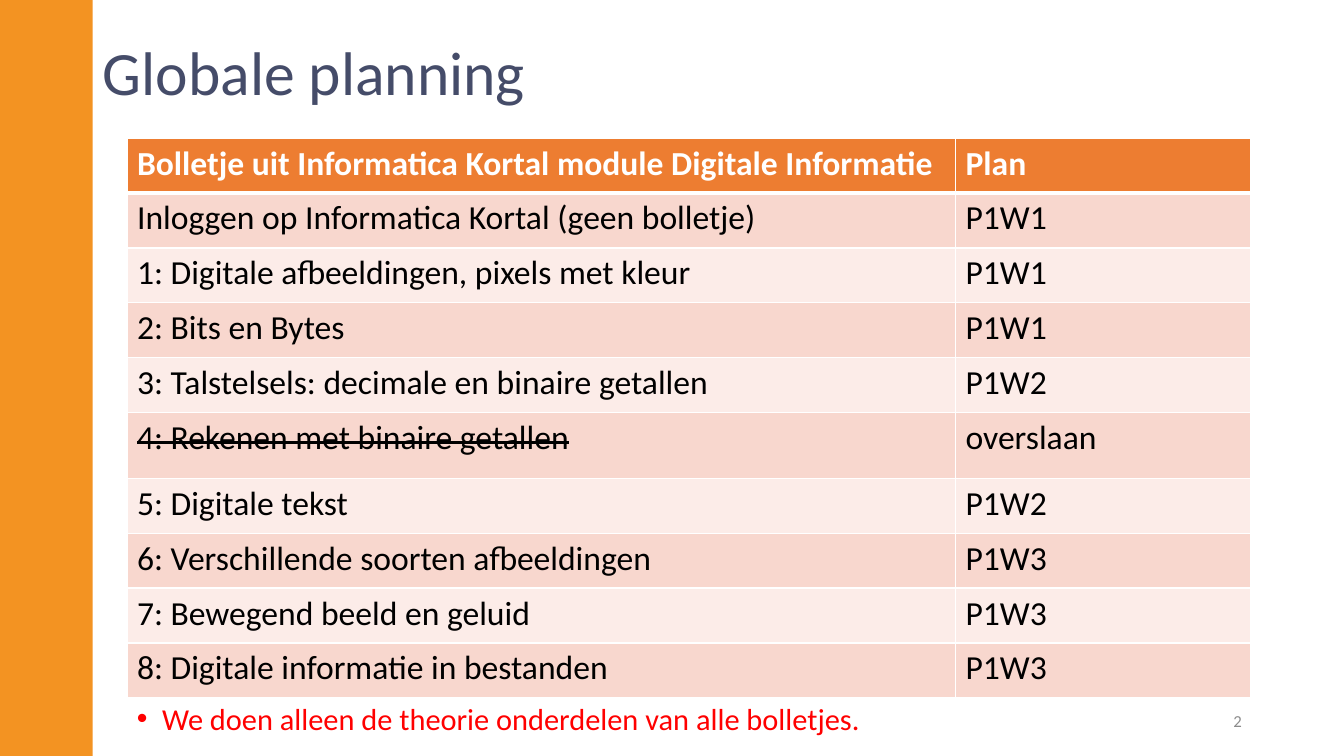
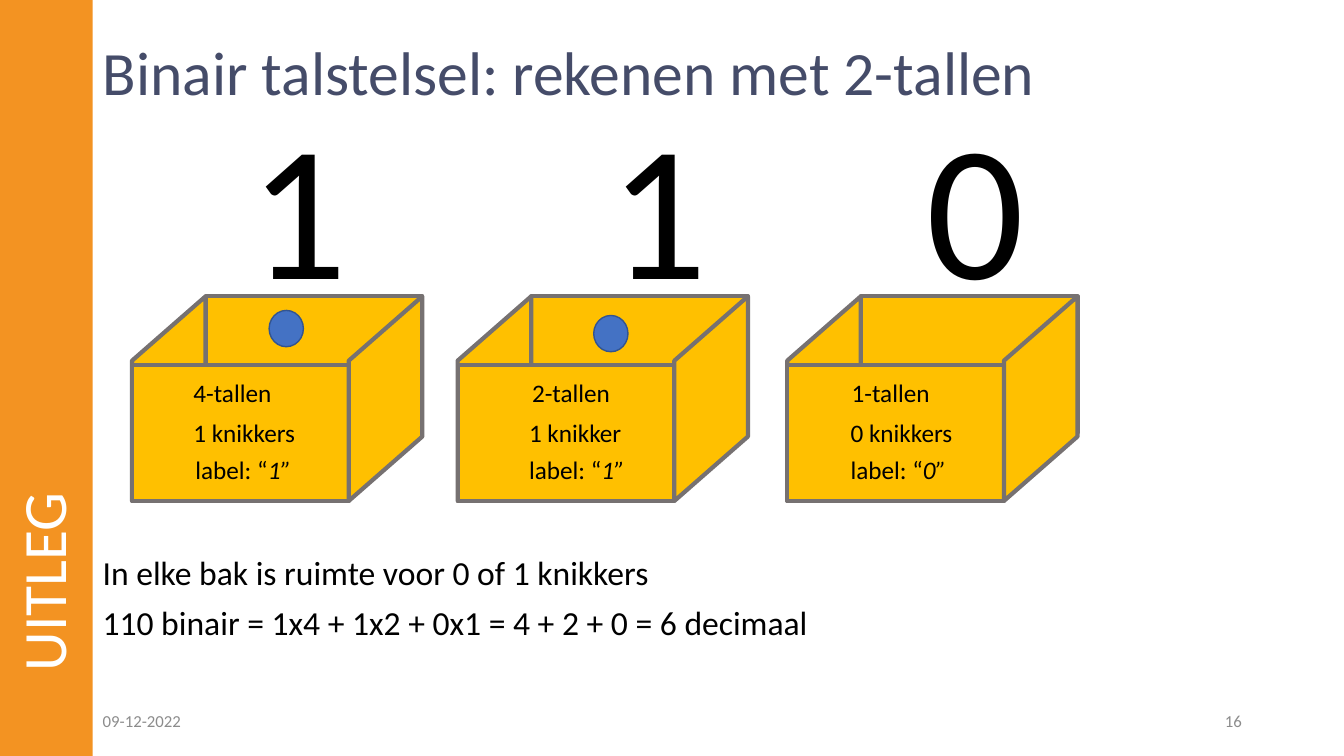
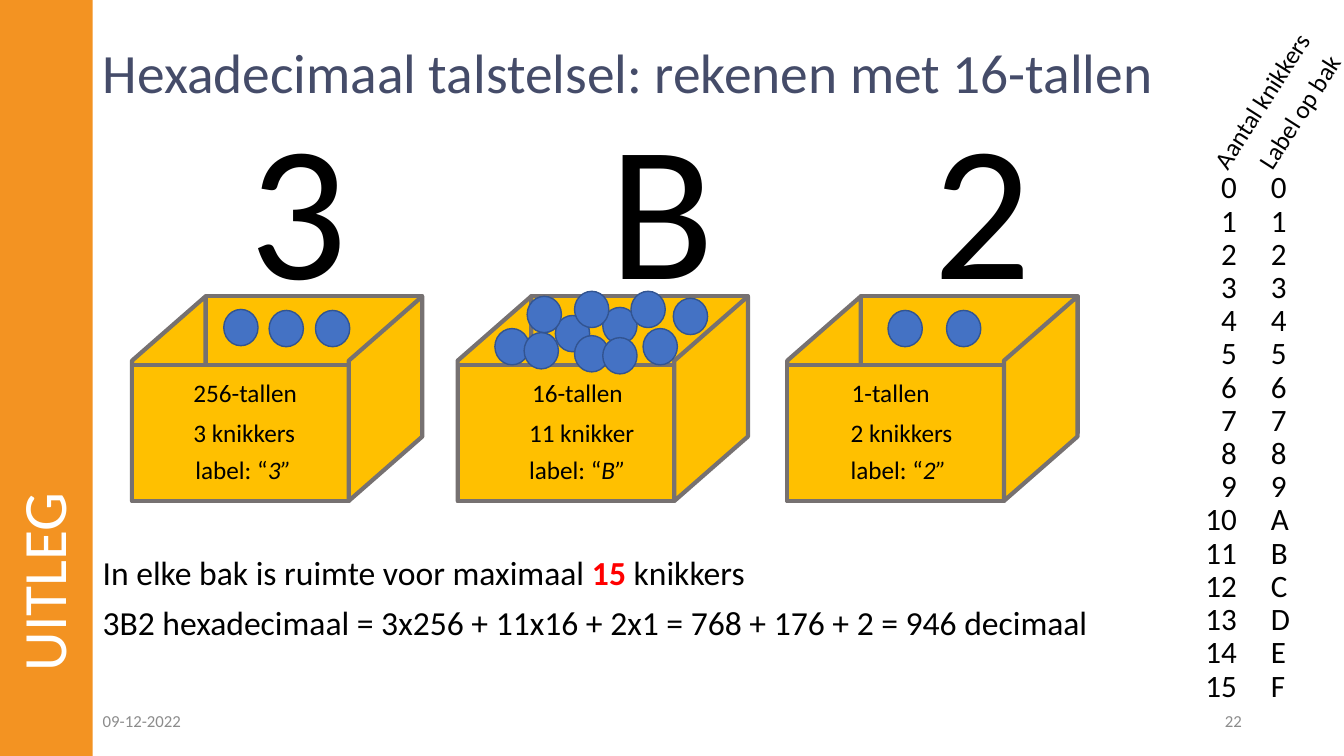
from lxml.etree import SubElement
from pptx import Presentation
from pptx.dml.color import RGBColor
from pptx.enum.shapes import MSO_SHAPE as Preset
from pptx.enum.text import MSO_ANCHOR as Anchor, MSO_AUTO_SIZE as AutoSize, PP_ALIGN as Align
from pptx.oxml.ns import qn
from pptx.util import Inches, Pt

FONT = "Calibri"
COLORS = {
    "band": "F39322", "title": "454C69", "text": "000000", "white": "FFFFFF",
    "footer": "8C8C8C", "accent": "FF0000", "header": "ED7D31",
    "odd": "F8D7CE", "even": "FCECE8", "crate": "FFC000", "crate_edge": "767171",
    "marble": "4472C4", "marble_edge": "325491",
}

# The grid: square cells of a tenth of an inch
COLUMNS, ROWS = 133.33, 75
BAND = 9.2
MARGIN = 12.6

# Left edge of each crate and of its three label lines
CRATES = [(13.1, (18.2, 18.2, 18.4)), (45.4, (51.8, 51.5, 51.5)), (78.1, (83.5, 83.4, 83.4))]
LABEL_ROWS = (36.9, 40.9, 44.6)


def cells(count):
    return int(count * Inches(0.1))


def color(name):
    return RGBColor.from_string(COLORS[name])


class Deck:
    """Holds the shared style and the current slide."""

    def __init__(self):
        self.presentation = Presentation()
        self.presentation.slide_width = cells(COLUMNS)
        self.presentation.slide_height = cells(ROWS)
        self.layout = self.presentation.slide_layouts[5]
        self.slide = None

    def new_slide(self, title, number, size=44, date=None, section=None):
        first = self.slide is None
        self.slide = self.presentation.slides.add_slide(self.layout)
        if first:
            self.add_band_to_layout()
        # Title
        shape = self.slide.shapes.title
        shape.left, shape.top, shape.width, shape.height = map(cells, (BAND, 3.2, 115, 8.6))
        self.fill_frame(shape.text_frame, [[title]], size, "title", anchor=Anchor.MIDDLE,
                        spacing=0.9)
        # Footer and section name
        if date:
            self.text([[date]], (BAND, 69.5, 30, 4), 12, "footer", anchor=Anchor.MIDDLE)
        self.text([[number]], (94.2, 69.5, 30, 4), 12, "footer", Align.RIGHT, Anchor.MIDDLE)
        if section:
            self.text([[section]], (-29.2, 29.2, 67.6, BAND), 44, "white",
                      anchor=Anchor.MIDDLE, spacing=0.9, rotation=270)

    def add_band_to_layout(self):
        band = self.shape(Preset.RECTANGLE, (0, 0, BAND, ROWS), "band")
        self.layout.placeholders[0].element.addprevious(band.element)

    def fill_frame(self, frame, paragraphs, size, ink="text", align=Align.LEFT,
                   anchor=Anchor.TOP, spacing=None, before=0, bullet=None):
        """Each paragraph is a list of runs: a string, or (string, font settings)."""
        frame.word_wrap = True
        frame.auto_size = AutoSize.NONE
        frame.vertical_anchor = anchor
        for index, runs in enumerate(paragraphs):
            paragraph = frame.add_paragraph() if index else frame.paragraphs[0]
            if bullet:
                self.bullet(paragraph, bullet)
            paragraph.alignment = align
            if spacing:
                paragraph.line_spacing = spacing
            paragraph.space_before = Pt(before if index else 0)
            for item in runs:
                words, style = (item, {}) if isinstance(item, str) else item
                self.add_run(paragraph, words, size, **{"ink": ink, **style})

    def add_run(self, paragraph, words, size, ink, bold=False, italic=False, strike=False):
        run = paragraph.add_run()
        run.text = words
        font = run.font
        font.name, font.size, font.bold, font.italic = FONT, Pt(size), bold, italic
        font.color.rgb = color(ink)
        if strike:
            run._r.get_or_add_rPr().set("strike", "sngStrike")

    def bullet(self, paragraph, sign):
        properties = paragraph._p.get_or_add_pPr()
        properties.set("marL", str(Inches(0.25)))
        properties.set("indent", str(-Inches(0.25)))
        SubElement(properties, qn("a:buFont"), typeface="Arial")
        SubElement(properties, qn("a:buChar"), char=sign)

    def text(self, paragraphs, box, size, ink="text", align=Align.LEFT, anchor=Anchor.TOP,
             rotation=0, **layout):
        shape = self.slide.shapes.add_textbox(*map(cells, box))
        shape.rotation = rotation
        self.fill_frame(shape.text_frame, paragraphs, size, ink, align, anchor, **layout)

    def shape(self, preset, box, fill, edge=None, width=1, parent=None):
        shape = (parent or self.slide).shapes.add_shape(preset, *map(cells, box))
        shape.shadow.inherit = False
        shape.fill.solid()
        shape.fill.fore_color.rgb = color(fill)
        if edge:
            shape.line.color.rgb = color(edge)
            shape.line.width = Pt(width)
        else:
            shape.line.fill.background()
        return shape

    def crate(self, left):
        group = self.slide.shapes.add_group_shape()
        parts = [  # back, left side, front, right side
            (Preset.RECTANGLE, (left + 7.3, 29.4, 21.5, 13.5)),
            (Preset.PARALLELOGRAM, (left - 6.5, 35.9, 20.3, 7.3)),
            (Preset.RECTANGLE, (left, 36.2, 21.5, 13.5)),
            (Preset.PARALLELOGRAM, (left + 15, 35.9, 20.3, 7.3)),
        ]
        for preset, box in parts:
            side = self.shape(preset, box, "crate", "crate_edge", 3, group)
            if preset == Preset.PARALLELOGRAM:
                side.adjustments[0] = 0.875
                side.rotation = 90
                side.element.spPr.find(qn("a:xfrm")).set("flipV", "1")

    def marble(self, left, top):
        self.shape(Preset.OVAL, (left, top, 3.4, 3.6), "marble", "marble_edge")

    def crates(self, contents, digit_lefts):
        """Contents: digit, place value, count and marble positions of each crate."""
        for (left, label_lefts), digit_left, (digit, place, count, marbles) in zip(
                CRATES, digit_lefts, contents):
            self.crate(left)
            labels = [[place], [count], ["label: “", (digit + "”", {"italic": True})]]
            for label, label_left, top in zip(labels, label_lefts, LABEL_ROWS):
                self.text([label], (label_left, top, 14, 4), 18)
            self.text([[digit]], (digit_left, 8.1, 14, 24.2), 138)
            for position in marbles:
                self.marble(*position)

    def explanation(self, paragraphs):
        self.text(paragraphs, (BAND, 54.7, 115, 12.9), 24, spacing=0.9, before=10)

    def table(self, rows, corner, widths, heights):
        box = (*corner, sum(widths), sum(heights))
        table = self.slide.shapes.add_table(len(rows), len(widths), *map(cells, box)).table
        for column, width in zip(table.columns, widths):
            column.width = cells(width)
        for index, (row, height) in enumerate(zip(rows, heights)):
            table.rows[index].height = cells(height)
            fill = ("even", "odd")[index % 2] if index else "header"
            style = {} if index else {"ink": "white", "bold": True}
            for cell, item in zip(table.rows[index].cells, row):
                words, extra = (item, {}) if isinstance(item, str) else item
                self.fill_frame(cell.text_frame, [[(words, {**style, **extra})]], 24)
                self.borders(cell, top=3 if index == 1 else 1, bottom=1 if index else 3)
                cell.fill.solid()
                cell.fill.fore_color.rgb = color(fill)

    def borders(self, cell, top, bottom):
        properties = cell._tc.get_or_add_tcPr()
        for side, width in (("L", 1), ("R", 1), ("T", top), ("B", bottom)):
            line = SubElement(properties, qn("a:ln" + side), w=str(Pt(width)))
            SubElement(SubElement(line, qn("a:solidFill")), qn("a:srgbClr"), val=COLORS["white"])


def planning(deck):
    deck.new_slide("Globale planning", "2")
    rows = [
        ("Bolletje uit Informatica Kortal module Digitale Informatie", "Plan"),
        ("Inloggen op Informatica Kortal (geen bolletje)", "P1W1"),
        ("1: Digitale afbeeldingen, pixels met kleur", "P1W1"),
        ("2: Bits en Bytes", "P1W1"),
        ("3: Talstelsels: decimale en binaire getallen", "P1W2"),
        (("4: Rekenen met binaire getallen", {"strike": True}), "overslaan"),
        ("5: Digitale tekst", "P1W2"),
        ("6: Verschillende soorten afbeeldingen", "P1W3"),
        ("7: Bewegend beeld en geluid", "P1W3"),
        ("8: Digitale informatie in bestanden", "P1W3"),
    ]
    heights = [5.45] * len(rows)
    heights[5] = 6.5
    deck.table(rows, (MARGIN, 13.7), (82.2, 29.3), heights)
    deck.text([["We doen alleen de theorie onderdelen van alle bolletjes."]],
              (MARGIN, 70, 115, 3.8), 21.7, "accent", spacing=0.7, bullet="•")


def binary(deck):
    deck.new_slide("Binair talstelsel: rekenen met 2-tallen", "16",
                   date="09-12-2022", section="UITLEG")
    deck.explanation([["In elke bak is ruimte voor 0 of 1 knikkers"],
                      ["110 binair = 1x4 + 1x2 + 0x1 = 4 + 2 + 0 = 6 decimaal"]])
    deck.crates([
        ("1", "4-tallen", "1 knikkers", [(26.7, 30.8)]),
        ("1", "2-tallen", "1 knikker", [(58.9, 31.3)]),
        ("0", "1-tallen", "0 knikkers", []),
    ], (23.8, 59.5, 90.9))


def hexadecimal(deck):
    deck.new_slide("Hexadecimaal talstelsel: rekenen met 16-tallen", "22", size=39.6,
                   date="09-12-2022", section="UITLEG")
    deck.explanation([
        ["In elke bak is ruimte voor maximaal ", ("15", {"ink": "accent", "bold": True}),
         " knikkers"],
        ["3B2 hexadecimaal = 3x256 + 11x16 + 2x1 = 768 + 176 + 2 = 946 decimaal"]])
    eleven = [(59.8, 30.5), (55.1, 31.3), (49.1, 32.6), (63.8, 32.6), (66.8, 29.6), (52.3, 29.4),
              (57, 28.9), (62.6, 28.9), (52, 33), (57, 33.3), (59.8, 33.5)]
    deck.crates([
        ("3", "256-tallen", "3 knikkers", [(22.2, 30.7), (26.7, 30.8), (31.3, 30.8)]),
        ("B", "16-tallen", "11 knikker", eleven),
        ("2", "1-tallen", "2 knikkers", [(88.1, 30.8), (93.9, 30.8)]),
    ], (23.8, 59.5, 91.6))

    # Marble counts beside their hexadecimal labels
    counts = [[str(value)] for value in range(16)]
    labels = [[digit] for digit in "0123456789ABCDEF"]
    for column, left, align in ((counts, 118.3, Align.RIGHT), (labels, 125.1, Align.LEFT)):
        deck.text(column, (left, 16.6, 5.4, 53.9), 22.2, align=align, spacing=0.89)
    deck.text([["Aantal knikkers"]], (116.4, 7.9, 17.5, 4), 18, rotation=302.6)
    deck.text([["Label op bak"]], (121.4, 9, 15, 4), 18, rotation=302.6)


def main():
    deck = Deck()
    for build in (planning, binary, hexadecimal):
        build(deck)
    deck.presentation.save("out.pptx")


if __name__ == "__main__":
    main()
